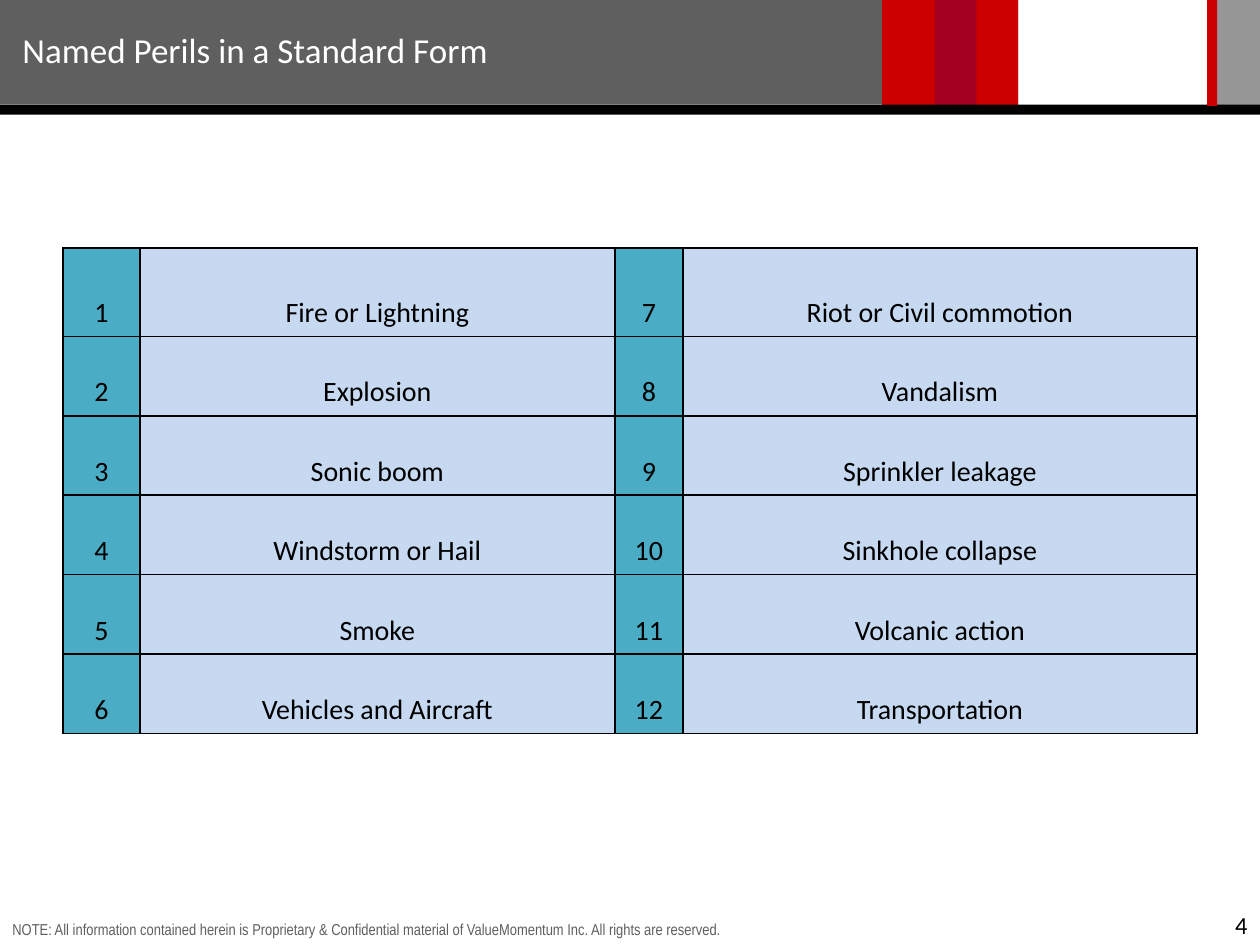
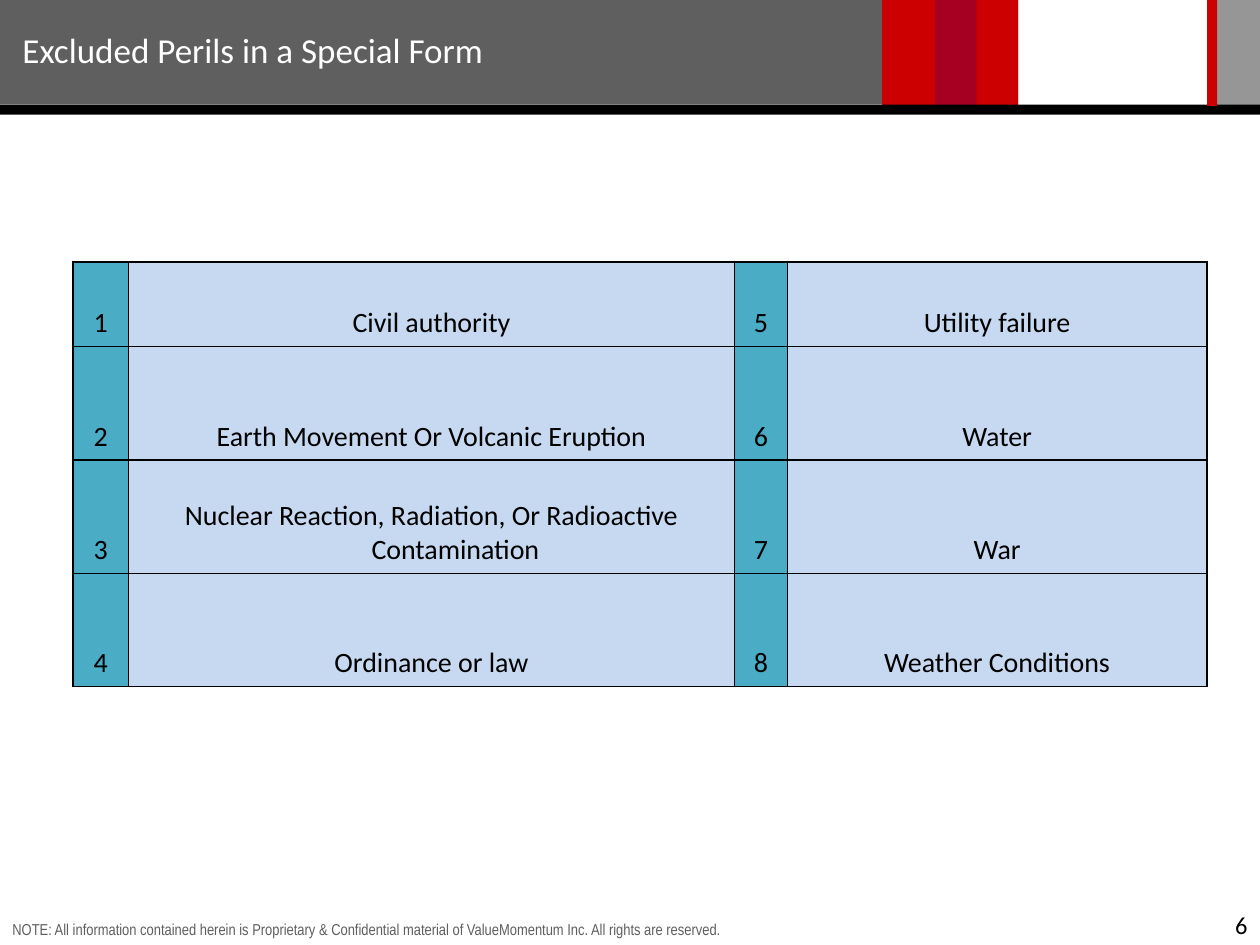
from pptx import Presentation
from pptx.dml.color import RGBColor
from pptx.enum.shapes import MSO_SHAPE as SHAPE
from pptx.enum.text import MSO_ANCHOR as ANCHOR, PP_ALIGN as ALIGN
from pptx.oxml import parse_xml
from pptx.oxml.ns import nsdecls
from pptx.util import Inches, Pt

BLACK, WHITE, GREY = "000000", "FFFFFF", "5F5F5F"
RED, NUMBER_FILL, PERIL_FILL = "CC0000", "4BACC6", "C6D9F1"
FONT, NOTE_FONT = "Calibri", "Arial Narrow"

# left, top, width, height, colour
BANDS = [
    (0, 0, 8.08, 0.83, GREY),
    (7, 0, 1.08, 0.84, RED),
    (9.58, 0, 0.42, 0.84, "969696"),
    (7.42, 0, 0.33, 0.84, "A50021"),
    (0, 0.83, 10, 0.08, BLACK),
    (9.58, 0, 0.08, 0.84, RED),
]
NOTE = ("NOTE: All information contained herein is Proprietary & Confidential "
        "material of ValueMomentum Inc. All rights are reserved.")

SLIDES = [
    dict(
        title="Named Perils in a Standard Form", page=4,
        perils=["Fire or Lightning", "Explosion", "Sonic boom",
                "Windstorm or Hail", "Smoke", "Vehicles and Aircraft",
                "Riot or Civil commotion", "Vandalism", "Sprinkler leakage",
                "Sinkhole collapse", "Volcanic action", "Transportation"],
        origin=(0.5, 1.97), widths=(0.61, 3.77, 0.54, 4.08),
        first_height=0.7, row_height=0.63, hanging=0),
    dict(
        title="Excluded Perils in a Special Form", page=6,
        perils=["Civil authority", "Earth Movement Or Volcanic Eruption",
                "Nuclear Reaction, Radiation, Or Radioactive Contamination",
                "Ordinance or law", "Utility failure", "Water", "War",
                "Weather Conditions"],
        origin=(0.58, 2.08), widths=(0.44, 4.81, 0.42, 3.33),
        first_height=0.67, row_height=0.9, hanging=0.38),
]


def rgb(color):
    return RGBColor.from_string(color)


def write(p, text, size, color=BLACK, font=FONT, align=ALIGN.LEFT):
    p.alignment = align
    r = p.add_run()
    r.text = text
    r.font.size, r.font.name = Pt(size), font
    r.font.color.rgb = rgb(color)


def add_text(s, box, text, size, anchor=ANCHOR.TOP, **style):
    tf = s.shapes.add_textbox(*map(Inches, box)).text_frame
    tf.word_wrap = True
    tf.vertical_anchor = anchor
    write(tf.paragraphs[0], text, size, **style)


def add_frame(s, title, page):
    """Header bands, title, note and page number shared by the slides."""
    for *box, color in BANDS:
        sp = s.shapes.add_shape(SHAPE.RECTANGLE, *map(Inches, box))
        sp.shadow.inherit = False
        sp.fill.solid()
        sp.fill.fore_color.rgb = rgb(color)
        sp.line.fill.background()
    add_text(s, (0, 7.25, 9.92, 0.25), NOTE, 9, color=GREY, font=NOTE_FONT)
    add_text(s, (7.58, 7.17, 2.42, 0.25), str(page), 14, align=ALIGN.RIGHT)
    add_text(s, (0.08, 0.17, 6.42, 0.44), title, 20, ANCHOR.MIDDLE, color=WHITE)


def add_borders(cell):
    tc_pr = cell._tc.get_or_add_tcPr()
    for i, side in enumerate("LRTB"):
        tc_pr.insert(i, parse_xml(
            f'<a:ln{side} {nsdecls("a")} w="{Pt(1)}"><a:solidFill>'
            f'<a:srgbClr val="{BLACK}"/></a:solidFill></a:ln{side}>'))


def fill_cell(cell, text, color, hanging):
    cell.fill.solid()
    cell.fill.fore_color.rgb = rgb(color)
    cell.vertical_anchor = ANCHOR.BOTTOM
    p = cell.text_frame.paragraphs[0]
    write(p, text, 16, align=ALIGN.CENTER)
    if hanging:
        p_pr = p._p.get_or_add_pPr()
        p_pr.set("marL", str(Inches(hanging)))
        p_pr.set("indent", str(-Inches(hanging)))
    add_borders(cell)


def add_perils(s, perils, origin, widths, first_height, row_height, hanging):
    """Numbered perils, running down the left half and then the right."""
    count = len(perils) // 2
    heights = [first_height] + [row_height] * (count - 1)
    size = sum(widths), sum(heights)
    table = s.shapes.add_table(count, len(widths),
                               *map(Inches, origin + size)).table
    table.first_row = table.horz_banding = False
    for column, width in zip(table.columns, widths):
        column.width = Inches(width)
    for row, height in zip(table.rows, heights):
        row.height = Inches(height)
    for i, peril in enumerate(perils):
        half, row = divmod(i, count)
        fill_cell(table.cell(row, 2 * half), str(i + 1), NUMBER_FILL, hanging)
        fill_cell(table.cell(row, 2 * half + 1), peril, PERIL_FILL, hanging)


def main():
    prs = Presentation()
    prs.slide_width, prs.slide_height = Inches(10), Inches(7.5)
    for content in SLIDES:
        s = prs.slides.add_slide(prs.slide_layouts[6])
        table = dict(content)
        add_frame(s, table.pop("title"), table.pop("page"))
        add_perils(s, **table)
    prs.save("out.pptx")


if __name__ == "__main__":
    main()
